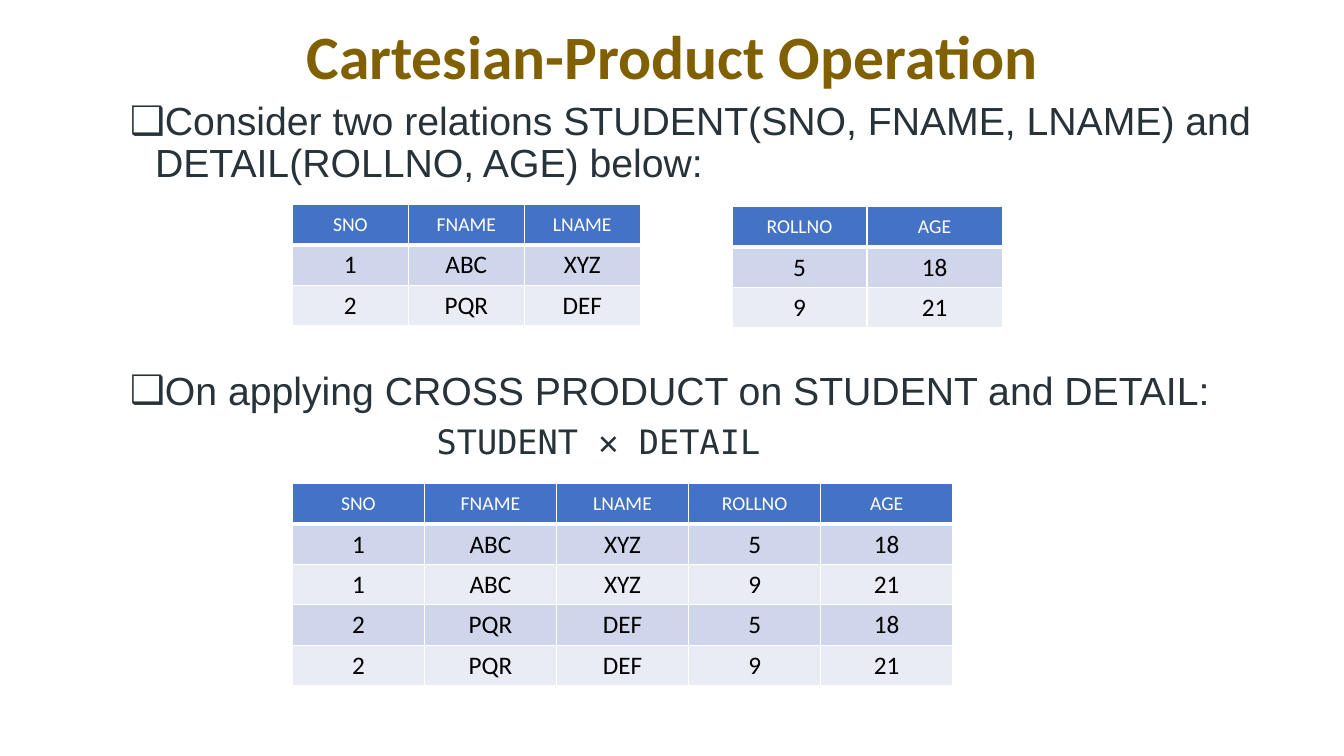
from itertools import product

from lxml import etree
from pptx import Presentation
from pptx import util as u
from pptx.dml.color import RGBColor
from pptx.enum import text
from pptx.oxml import ns

COLORS = {
    "title": "806000",
    "body": "273239",
    "header": "4472C4",
    "band_dark": "CFD5EA",
    "band_light": "E9EBF5",
    "white": "FFFFFF",
    "black": "000000",
}
STUDENT_FIELDS = ("SNO", "FNAME", "LNAME")
STUDENTS = [("1", "ABC", "XYZ"), ("2", "PQR", "DEF")]
DETAIL_FIELDS = ("ROLLNO", "AGE")
DETAILS = [("5", "18"), ("9", "21")]
ROW_HEIGHT = 0.4


def add_run(paragraph, words, size, color, font="Calibri", bold=False):
    run = paragraph.add_run()
    run.text = words
    run.font.name = font
    run.font.size = u.Pt(size)
    run.font.bold = bold
    run.font.color.rgb = RGBColor.from_string(COLORS[color])


def add_text_frame(slide, box, anchor):
    shape = slide.shapes.add_textbox(*map(u.Inches, box))
    frame = shape.text_frame
    frame.word_wrap = True
    frame.vertical_anchor = anchor
    return frame


def add_title(slide, box, words):
    frame = add_text_frame(slide, box, text.MSO_ANCHOR.MIDDLE)
    paragraph = frame.paragraphs[0]
    paragraph.alignment = text.PP_ALIGN.CENTER
    paragraph.line_spacing = 0.9
    add_run(paragraph, words, 44, "title", bold=True)


def add_bullets(slide, box, items, gap):
    frame = add_text_frame(slide, box, text.MSO_ANCHOR.TOP)
    for index, words in enumerate(items):
        paragraph = frame.add_paragraph() if index else frame.paragraphs[0]
        properties = paragraph._p.get_or_add_pPr()
        properties.set("marL", str(u.Inches(0.25)))
        properties.set("indent", str(-u.Inches(0.25)))
        etree.SubElement(properties, ns.qn("a:buFont"), typeface="Arial")
        etree.SubElement(properties, ns.qn("a:buChar"), char="❑")
        paragraph.line_spacing = 0.9
        if index:
            paragraph.space_before = u.Pt(gap)
        add_run(paragraph, words, 28, "body", "Arial")


def add_expression(slide, box, words):
    frame = add_text_frame(slide, box, text.MSO_ANCHOR.MIDDLE)
    frame.margin_left = frame.margin_right = frame.margin_top = 0
    frame.margin_bottom = u.Inches(0.07)
    add_run(frame.paragraphs[0], words, 24, "body", "DejaVu Sans Mono")


def set_borders(cell, top, bottom):
    properties = cell._tc.get_or_add_tcPr()
    for side, width in (("L", 1), ("R", 1), ("T", top), ("B", bottom)):
        line = etree.SubElement(properties, ns.qn(f"a:ln{side}"), w=str(u.Pt(width)))
        fill = etree.SubElement(line, ns.qn("a:solidFill"))
        etree.SubElement(fill, ns.qn("a:srgbClr"), val=COLORS["white"])


def add_relation(slide, left, top, column_width, fields, records):
    rows = [fields, *records]
    size = (column_width * len(fields), ROW_HEIGHT * len(rows))
    frame = slide.shapes.add_table(
        len(rows), len(fields), *map(u.Inches, (left, top, *size)))
    table = frame.table
    for column in table.columns:
        column.width = u.Inches(column_width)
    for row_index, values in enumerate(rows):
        table.rows[row_index].height = u.Inches(ROW_HEIGHT)
        is_header = row_index == 0
        band = "band_dark" if row_index % 2 else "band_light"
        for column_index, value in enumerate(values):
            cell = table.cell(row_index, column_index)
            set_borders(cell, 3 if row_index == 1 else 1, 3 if is_header else 1)
            cell.fill.solid()
            cell.fill.fore_color.rgb = RGBColor.from_string(
                COLORS["header" if is_header else band])
            cell.vertical_anchor = text.MSO_ANCHOR.MIDDLE
            if is_header:
                cell.margin_left = cell.margin_right = u.Inches(0.08)
                cell.margin_top = cell.margin_bottom = u.Inches(0.08)
            paragraph = cell.text_frame.paragraphs[0]
            paragraph.alignment = text.PP_ALIGN.CENTER
            add_run(paragraph, value, 14 if is_header else 18,
                    "white" if is_header else "black")


def main():
    presentation = Presentation()
    presentation.slide_width = u.Inches(13.33)
    presentation.slide_height = u.Inches(7.5)
    slide = presentation.slides.add_slide(presentation.slide_layouts[6])

    add_bullets(slide, (1.19, 0.96, 12, 6.42), [
        "Consider two relations STUDENT(SNO, FNAME, LNAME) and DETAIL(ROLLNO, AGE) below:",
        "On applying CROSS PRODUCT on STUDENT and DETAIL:",
    ], gap=132)
    add_title(slide, (0.92, 0.01, 11.5, 1.16), "Cartesian-Product Operation")
    add_relation(slide, 2.9, 2.03, 1.15, STUDENT_FIELDS, STUDENTS)
    add_relation(slide, 7.26, 2.05, 1.34, DETAIL_FIELDS, DETAILS)
    add_expression(slide, (4.33, 4.18, 3.45, 0.47), "STUDENT ✕ DETAIL")
    pairs = [student + detail for student, detail in product(STUDENTS, DETAILS)]
    add_relation(slide, 2.9, 4.8, 1.31, STUDENT_FIELDS + DETAIL_FIELDS, pairs)

    presentation.save("out.pptx")


if __name__ == "__main__":
    main()
